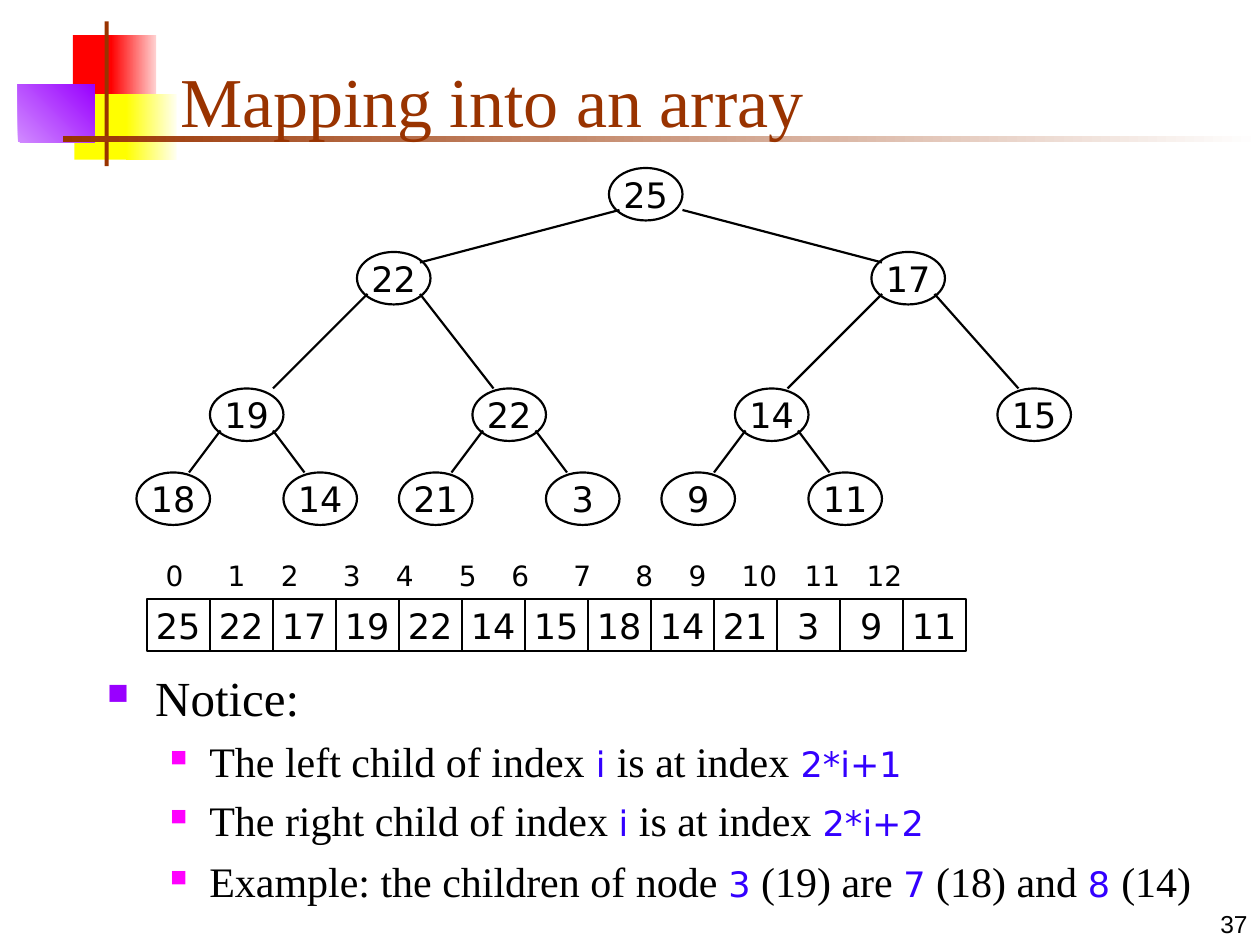
from pptx import Presentation
from pptx.dml.color import RGBColor as RGB
from pptx.enum.shapes import MSO_CONNECTOR as LINK, MSO_SHAPE as KIND
from pptx.enum.text import MSO_ANCHOR as ANCHOR, PP_ALIGN as ALIGN
from pptx.oxml import parse_xml
from pptx.oxml.ns import nsdecls
from pptx.util import Cm, Pt
from lxml.etree import SubElement
from pptx.oxml.ns import qn

HUE = {
    "black": "000000", "rust": "993300", "white": "FFFFFF",
    "red": "FF0000", "pink": "FFD1D1", "yellow": "FFFF00", "cream": "FFFFF0",
    "lilac": "D18BFF", "purple": "9900FF", "magenta": "FF00FF", "blue": "3300FF",
}
SERIF, SANS = "Times New Roman", "DejaVu Sans"

deck = Presentation()
deck.slide_width, deck.slide_height = Cm(25.4), Cm(19.05)
slide = deck.slides.add_slide(deck.slide_layouts[6])
shapes = slide.shapes


def box(kind, left, top, width, height, fills=()):
    """Add a shape: no fills gives a black outline, two give a gradient."""
    shape = shapes.add_shape(kind, Cm(left), Cm(top), Cm(width), Cm(height))
    shape.shadow.inherit = False
    if not fills:
        shape.fill.background()
        shape.line.color.rgb = RGB.from_string(HUE["black"])
        shape.line.width = Pt(1.25)
        return shape
    shape.line.fill.background()
    if len(fills) == 1:
        shape.fill.solid()
        shape.fill.fore_color.rgb = RGB.from_string(HUE[fills[0]])
    else:
        shape.fill.gradient()
        shape.fill.gradient_angle = 0
        for stop, hue in zip(shape.fill.gradient_stops, fills):
            stop.color.rgb = RGB.from_string(HUE[hue])
    return shape


def write(shape, text, size=20, font=SANS, hue="black", align=ALIGN.LEFT,
          anchor=ANCHOR.TOP, wrap=True, before=0):
    """Add one paragraph; parts between bars are set as blue code."""
    frame = shape.text_frame
    frame.word_wrap, frame.vertical_anchor = wrap, anchor
    para = frame.add_paragraph() if frame.text else frame.paragraphs[0]
    para.alignment = align
    if before:
        para.space_before = Pt(before)
    for i, part in enumerate(text.split("|")):
        run = para.add_run()
        run.text = part
        run.font.size = Pt(20 if i % 2 else size)
        run.font.name = SANS if i % 2 else font
        run.font.color.rgb = RGB.from_string(HUE["blue" if i % 2 else hue])
    return para


# Corner ornament and title rule
box(KIND.RECTANGLE, 1.47, 0.71, 0.89, 1.32, ["red"])
box(KIND.RECTANGLE, 2.24, 0.71, 0.91, 1.32, ["red", "pink"])
box(KIND.RECTANGLE, 1.5, 1.9, 1.17, 1.32, ["yellow"])
box(KIND.RECTANGLE, 2.54, 1.9, 1.02, 1.32, ["yellow", "cream"])
patch = box(KIND.RECTANGLE, 0.36, 1.7, 1.55, 1.17, ["lilac", "purple"])
patch.fill.gradient_angle = 45
box(KIND.RECTANGLE, 2.11, 0.43, 0.08, 2.92, ["rust"])
box(KIND.RECTANGLE, 1.27, 2.74, 24.13, 0.13, ["rust", "white"])

# Page number and title
page = shapes.add_textbox(Cm(20.12), Cm(17.78), Cm(5.28), Cm(1.27))
write(page, "37", size=14, font="Arial", align=ALIGN.RIGHT, anchor=ANCHOR.BOTTOM)
title = shapes.add_textbox(Cm(3.38), Cm(0.64), Cm(21.64), Cm(2.34))
write(title, "Mapping into an array", size=40, font=SERIF, hue="rust",
      anchor=ANCHOR.BOTTOM)

# Notes on the index rule
body = shapes.add_textbox(Cm(1.91), Cm(13.34), Cm(22.86), Cm(5.28))
notes = [
    ("Notice:", 28, 0, 0.97, -0.97, "purple", 60),
    ("The left child of index| i |is at index| 2*i+1", 24, 5, 2.06, -0.79, "magenta", 55),
    ("The right child of index |i| is at index| 2*i+2", 24, 5, 2.06, -0.79, "magenta", 55),
    ("Example: the children of node |3| (19) are |7| (18) and |8 |(14)",
     24, 6, 2.06, -0.79, "magenta", 55),
]
for text, size, gap, left, hang, hue, scale in notes:
    para = write(body, text, size=size, font=SERIF, before=gap)
    props = para._p.get_or_add_pPr()
    props.set("marL", str(Cm(left)))
    props.set("indent", str(Cm(hang)))
    if left > 1:
        props.set("lvl", "1")
    tint = SubElement(props, qn("a:buClr"))
    SubElement(tint, qn("a:srgbClr")).set("val", HUE[hue])
    SubElement(props, qn("a:buSzPct")).set("val", str(scale * 1000))
    SubElement(props, qn("a:buChar")).set("char", "■")

# Heap tree, on a grid of a twelfth of an inch
GRID = 2.54 / 12
heap = [25, 22, 17, 19, 22, 14, 15, 18, 14, 21, 3, 9, 11]
lefts = [58, 34, 83, 20, 45, 70, 95, 13, 27, 38, 52, 63, 77]
tops = [16] + [24] * 2 + [37] * 4 + [45] * 6
nudge = {2: (1, 0), 3: (0, 1)}  # extra steps right at the start and end of an edge
for i, value in enumerate(heap):
    node = box(KIND.OVAL, lefts[i] * GRID, tops[i] * GRID, 7 * GRID, 5 * GRID)
    write(node, str(value), align=ALIGN.CENTER, anchor=ANCHOR.MIDDLE, wrap=False)
    if i == 0:
        continue
    up = (i - 1) // 2
    is_left, is_high = i % 2 == 1, i < 3
    out, into = nudge.get(i, (0, 0))
    start = lefts[up] + (1 if is_left else 6) + out
    end = lefts[i] + (5 + is_high if is_left else 2 - is_high) + into
    edge = shapes.add_connector(
        LINK.STRAIGHT, Cm(start * GRID), Cm((tops[up] + 4) * GRID),
        Cm(end * GRID), Cm((tops[i] + is_high) * GRID))
    edge.line.color.rgb = RGB.from_string(HUE["black"])
    edge.line.width = Pt(1.25)
    SubElement(edge._element.spPr, qn("a:effectLst"))

# Array cells
for i, value in enumerate(heap):
    cell = box(KIND.RECTANGLE, 2.96 + 1.27 * i, 12.07, 1.27, 1.06)
    write(cell, str(value), align=ALIGN.CENTER, anchor=ANCHOR.MIDDLE, wrap=False)

# Indices above the cells, each centred on a tab stop
stops = [0.53, 1.78, 2.85, 4.1, 5.17, 6.44, 7.5, 8.75, 10, 11.07, 12.32, 13.59, 14.84]
index = shapes.add_textbox(Cm(2.74), Cm(11.13), Cm(17.58), Cm(0.94))
para = write(index, "".join(f"\t{i}" for i in range(len(heap))), size=16)
tabs = parse_xml(f"<a:tabLst {nsdecls('a')}/>")
for stop in stops:
    tab = SubElement(tabs, qn("a:tab"))
    tab.set("pos", str(Cm(stop)))
    tab.set("algn", "ctr")
para._p.get_or_add_pPr().append(tabs)

deck.save("out.pptx")
